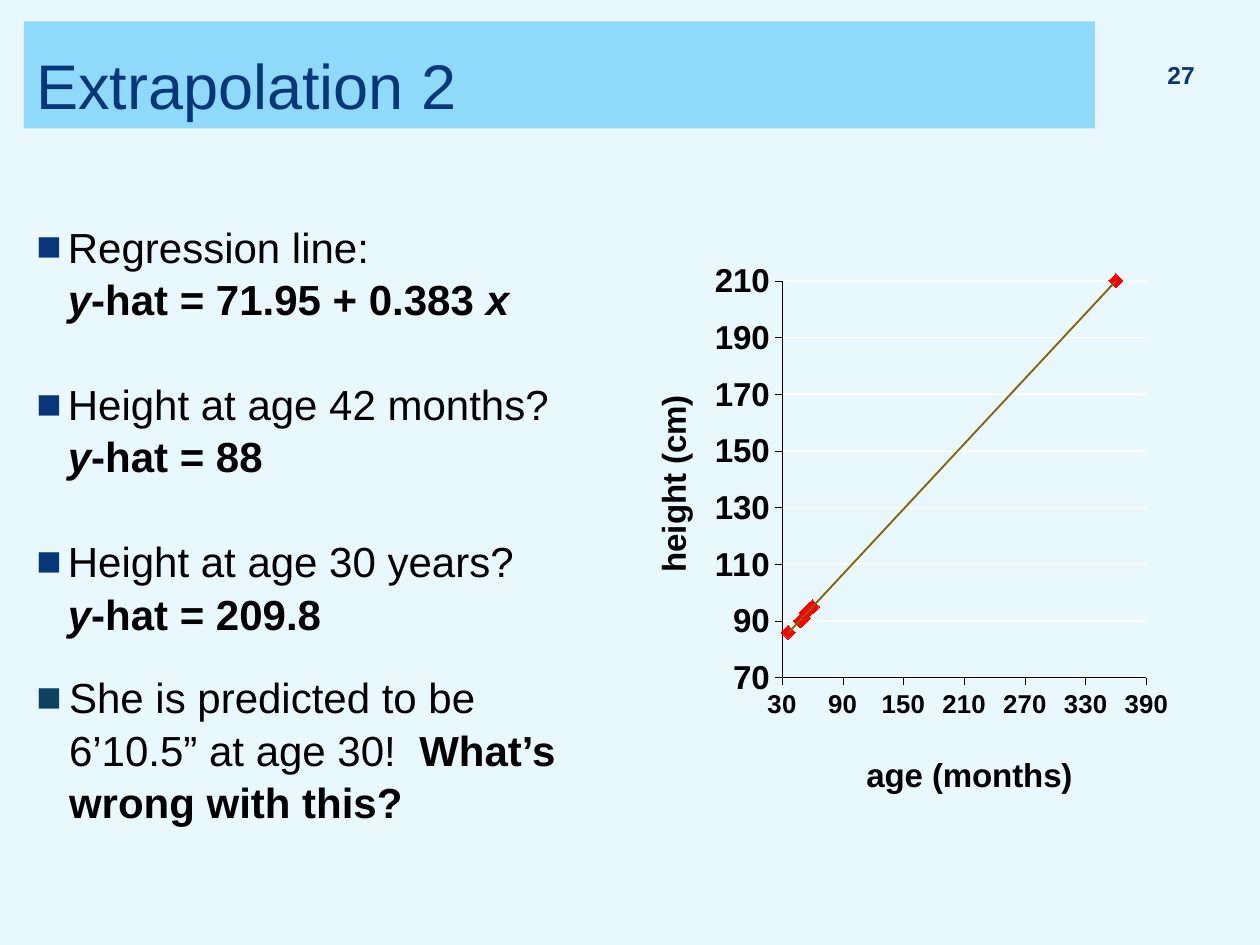
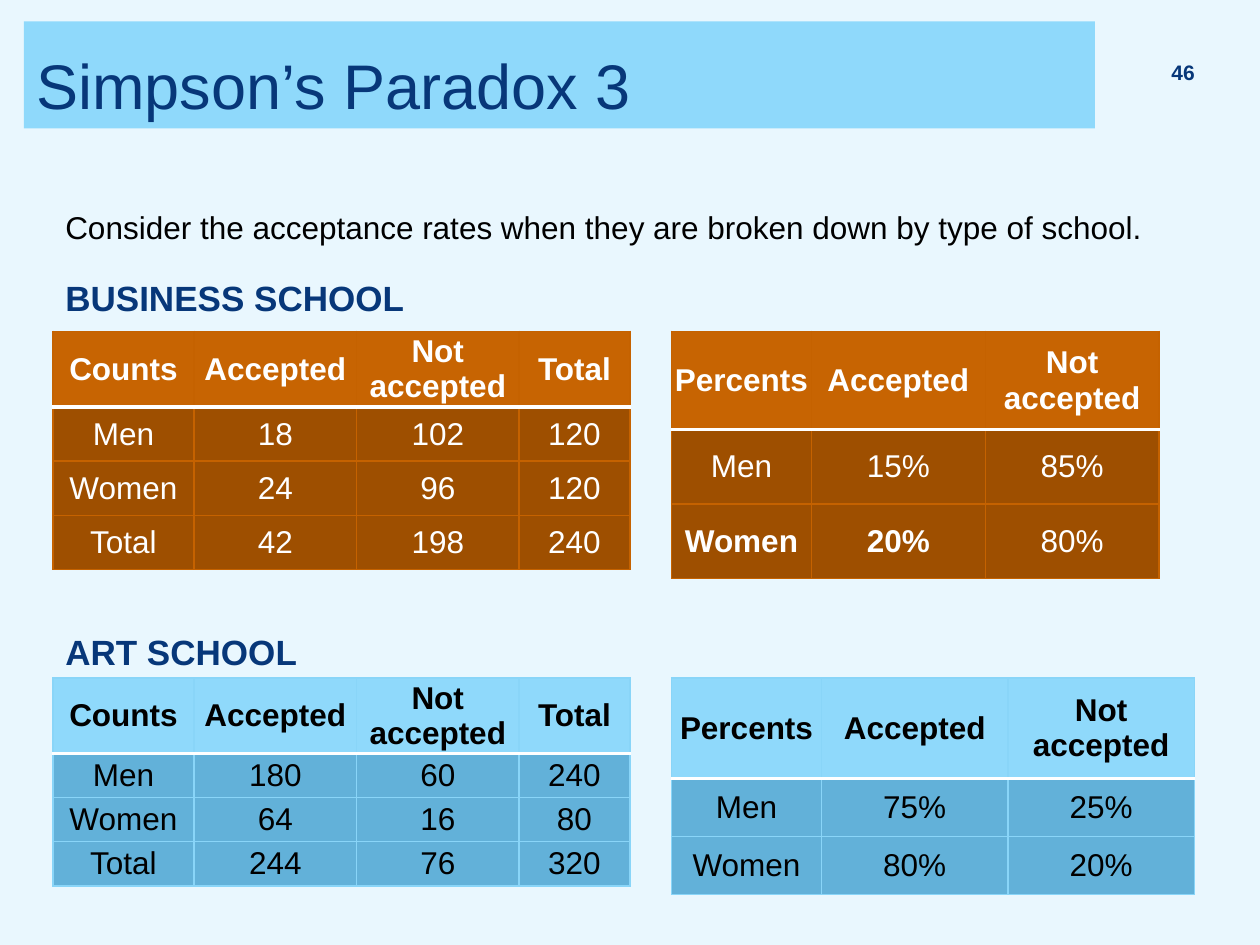
from lxml import etree
from pptx import Presentation
from pptx.chart.data import XyChartData
from pptx.dml.color import RGBColor
from pptx.enum.chart import XL_CHART_TYPE as ChartType, XL_MARKER_STYLE as Marker
from pptx.enum.chart import XL_TICK_MARK as TickMark
from pptx.enum.shapes import MSO_SHAPE as Shape
from pptx.enum.text import MSO_ANCHOR as Anchor, PP_ALIGN as Align
from pptx.oxml import parse_xml
from pptx.oxml.ns import nsdecls, qn
from pptx.util import Inches, Pt

FONT = "Arial"
COLORS = {
    "background": "E9F7FE", "band": "8FD9FB", "navy": "073779", "teal": "0C4160",
    "black": "000000", "white": "FFFFFF", "red": "FF0000", "trend": "806600",
}
# Table themes: header fill, body fill, border, text
ORANGE = ("C76402", "9E4F00", "C56200", "FFFFFF")
BLUE = ("8FD9FB", "62B1D9", "89D5F8", "000000")


def rgb(name):
    return RGBColor.from_string(COLORS.get(name, name))


def set_font(font, size, color="black", bold=False, italic=False):
    font.name, font.size = FONT, Pt(size)
    font.bold, font.italic = bold, italic
    font.color.rgb = rgb(color)


def set_layout(parent, index, inner=False, **fractions):
    """Place a chart part by fractions of the chart area."""
    for old in parent.findall(qn("c:layout")):
        parent.remove(old)
    target = '<c:layoutTarget val="inner"/>' if inner else ""
    modes = '<c:xMode val="edge"/><c:yMode val="edge"/>'
    values = "".join(f'<c:{key} val="{val}"/>' for key, val in fractions.items())
    parent.insert(index, parse_xml(
        f'<c:layout {nsdecls("c")}><c:manualLayout>{target}{modes}{values}'
        "</c:manualLayout></c:layout>"))


def set_borders(cell, top, bottom, side):
    """Give a cell its four borders as (color, points) pairs."""
    edges = (("L", side), ("R", side), ("T", top), ("B", bottom))
    for index, (edge, (color, points)) in enumerate(edges):
        cell._tc.get_or_add_tcPr().insert(index, parse_xml(
            f'<a:ln{edge} {nsdecls("a")} w="{Pt(points)}"><a:solidFill>'
            f'<a:srgbClr val="{color}"/></a:solidFill></a:ln{edge}>'))


class Deck:
    def __init__(self):
        self.deck = Presentation()
        self.deck.slide_width, self.deck.slide_height = Inches(10), Inches(7.5)
        self.page = None

    def add_page(self, title, number, number_size, number_spacing=1.0):
        self.page = self.deck.slides.add_slide(self.deck.slide_layouts[6])
        fill = self.page.background.fill
        fill.solid()
        fill.fore_color.rgb = rgb("background")
        # Title band
        band = self.page.shapes.add_shape(
            Shape.RECTANGLE, Inches(0.19), Inches(0.17), Inches(8.5), Inches(0.85))
        band.shadow.inherit = False
        band.fill.solid()
        band.fill.fore_color.rgb = rgb("band")
        band.line.fill.background()
        frame = band.text_frame
        frame.text = title
        frame.vertical_anchor = Anchor.BOTTOM
        frame.paragraphs[0].alignment = Align.LEFT
        set_font(frame.paragraphs[0].runs[0].font, 36, "navy")
        # Page number
        para = self.text(number, 9.03, 0.39, 0.55, 0.4, number_size, "navy", True)
        para.alignment = Align.RIGHT
        para.line_spacing = number_spacing

    def box(self, left, top, width, height, anchor=Anchor.TOP):
        frame = self.page.shapes.add_textbox(
            Inches(left), Inches(top), Inches(width), Inches(height)).text_frame
        frame.word_wrap = True
        frame.vertical_anchor = anchor
        return frame

    def text(self, words, left, top, width, height, size, color="black", bold=False):
        frame = self.box(left, top, width, height, Anchor.MIDDLE)
        frame.text = words
        set_font(frame.paragraphs[0].runs[0].font, size, color, bold)
        return frame.paragraphs[0]

    def bullets(self, items, left, top, width, height):
        """Each item is (bullet color, indent, space before, styled spans)."""
        frame = self.box(left, top, width, height)
        for index, (color, indent, before, spans) in enumerate(items):
            para = frame.add_paragraph() if index else frame.paragraphs[0]
            props = para._p.get_or_add_pPr()
            props.set("marL", str(Inches(indent)))
            props.set("indent", str(-Inches(indent)))
            bullet_color = etree.SubElement(props, qn("a:buClr"))
            etree.SubElement(bullet_color, qn("a:srgbClr"), val=COLORS[color])
            etree.SubElement(props, qn("a:buFont"), typeface=FONT)
            etree.SubElement(props, qn("a:buChar"), char="■")
            para.space_before = Pt(before if index else 0)
            para.space_after = Pt(12)
            para.line_spacing = 1.04
            for words, style in spans:
                for part, line in enumerate(words.split("\n")):
                    if part:
                        para.add_line_break()
                    if line:
                        span = para.add_run()
                        span.text = line
                        set_font(span.font, 24, bold="b" in style, italic="i" in style)

    def table(self, rows, left, top, widths, heights, theme, bold_cells=()):
        header_fill, body_fill, border, text_color = theme
        table = self.page.shapes.add_table(
            len(rows), len(widths), Inches(left), Inches(top),
            Inches(sum(widths)), Inches(sum(heights))).table
        table.horz_banding = False
        for column, width in zip(table.columns, widths):
            column.width = Inches(width)
        thin, rule = (border, 1), (COLORS["white"], 2)
        for row, (values, height) in enumerate(zip(rows, heights)):
            table.rows[row].height = Inches(height)
            for col, value in enumerate(values):
                cell = table.cell(row, col)
                cell.margin_left = cell.margin_right = 0
                cell.margin_top = cell.margin_bottom = 0
                cell.vertical_anchor = Anchor.MIDDLE
                cell.fill.solid()
                cell.fill.fore_color.rgb = rgb(body_fill if row else header_fill)
                set_borders(cell, rule if row == 1 else thin, thin if row else rule, thin)
                cell.text_frame.text = value
                para = cell.text_frame.paragraphs[0]
                para.alignment = Align.CENTER
                for span in para.runs:
                    set_font(span.font, 18, text_color,
                             row == 0 or (row, col) in bold_cells)

    def axis(self, axis, title, title_place, size, low, high, step):
        axis.minimum_scale, axis.maximum_scale, axis.major_unit = low, high, step
        axis.major_tick_mark, axis.minor_tick_mark = TickMark.OUTSIDE, TickMark.NONE
        axis.has_major_gridlines = False
        axis.format.line.color.rgb = rgb("black")
        axis.format.line.width = Pt(0.25)
        set_font(axis.tick_labels.font, size, bold=True)
        frame = axis.axis_title.text_frame
        frame.text = title
        set_font(frame.paragraphs[0].runs[0].font, 18.9, bold=True)
        x, y = title_place
        set_layout(axis.axis_title._element, 1, x=x, y=y)

    def scatter(self, name, points, left, top, width, height):
        data = XyChartData()
        series_data = data.add_series(name)
        for x, y in points:
            series_data.add_data_point(x, y)
        chart = self.page.shapes.add_chart(
            ChartType.XY_SCATTER, Inches(left), Inches(top),
            Inches(width), Inches(height), data).chart
        chart.has_legend = chart.has_title = False
        set_font(chart.font, 18.9, bold=True)
        # Markers and trend line
        plot = chart.plots[0]
        plot.vary_by_categories = False
        series = plot.series[0]
        series.format.line.fill.background()
        series.marker.style, series.marker.size = Marker.DIAMOND, 8
        series.marker.format.fill.solid()
        series.marker.format.fill.fore_color.rgb = rgb("red")
        series.marker.format.line.color.rgb = rgb("red")
        series._element.find(qn("c:xVal")).addprevious(parse_xml(
            f'<c:trendline {nsdecls("c", "a")}><c:spPr><a:ln w="{Pt(1.05)}">'
            f'<a:solidFill><a:srgbClr val="{COLORS["trend"]}"/></a:solidFill></a:ln>'
            '</c:spPr><c:trendlineType val="linear"/><c:dispRSqr val="0"/>'
            '<c:dispEq val="0"/></c:trendline>'))
        # Axes and plot area
        self.axis(chart.category_axis, "age (months)", (0.42, 0.87), 14.7, 30, 390, 60)
        self.axis(chart.value_axis, "height (cm)", (0.02, 0.26), 18.9, 70, 210, 20)
        chart.value_axis.has_major_gridlines = True
        grid = chart.value_axis.major_gridlines.format.line
        grid.color.rgb = rgb("white")
        grid.width = Pt(1.05)
        plot_area = chart._chartSpace.find(".//" + qn("c:plotArea"))
        set_layout(plot_area, 0, inner=True, x=0.274, y=0.075, w=0.679, h=0.676)


def extrapolation_page(deck):
    deck.add_page("Extrapolation 2", "27", 14)
    deck.bullets([
        ("navy", 0.25, 18, [("Regression line:\n", ""), ("y", "bi"),
                            ("-hat = 71.95 + 0.383 ", "b"), ("x", "bi")]),
        ("navy", 0.25, 18, [("Height at age 42 months?\n", ""), ("y", "bi"),
                            ("-hat = 88", "b")]),
        ("navy", 0.25, 18, [("Height at age 30 years?\n", ""), ("y", "bi"),
                            ("-hat = 209.8", "b")]),
        ("teal", 0.26, 6, [("She is predicted to be 6’10.5” at age 30!  ", ""),
                           ("What’s wrong with this?", "b")]),
    ], 0.19, 1.69, 4.55, 5.05)
    ages = (36, 48, 51, 54, 57, 60, 360)
    heights = (86, 90, 91, 93, 94, 95, 210)
    deck.scatter("Series 1", zip(ages, heights), 5.04, 1.88, 4.26, 4.66)


def paradox_page(deck):
    deck.add_page("Simpson’s Paradox 3", "46", 12, 0.8)
    deck.text("Consider the acceptance rates when they are broken down by type of school.",
              0.42, 1.6, 9, 0.4, 18)
    deck.text("BUSINESS SCHOOL", 0.42, 2.14, 6.57, 0.44, 20, "navy", True)
    deck.text("ART SCHOOL", 0.42, 4.95, 4.83, 0.44, 20, "navy", True)

    outcomes = ("Accepted", "Not\vaccepted")
    counts_header = ("Counts", *outcomes, "Total")
    percents_header = ("Percents", *outcomes)
    counts_widths = (1.12, 1.29, 1.29, 0.88)
    counts_left, percents_left = 0.42, 5.33
    business_top, art_top = 2.63, 5.38

    # Counts
    deck.table([counts_header, ("Men", "18", "102", "120"),
                ("Women", "24", "96", "120"), ("Total", "42", "198", "240")],
               counts_left, business_top, counts_widths, [0.6] + [0.43] * 3, ORANGE)
    deck.table([counts_header, ("Men", "180", "60", "240"),
                ("Women", "64", "16", "80"), ("Total", "244", "76", "320")],
               counts_left, art_top, counts_widths, [0.6] + [0.35] * 3, BLUE)
    # Percents
    deck.table([percents_header, ("Men", "15%", "85%"), ("Women", "20%", "80%")],
               percents_left, business_top, (1.11, 1.38, 1.38), (0.78, 0.59, 0.59),
               ORANGE, {(2, 0), (2, 1)})
    deck.table([percents_header, ("Men", "75%", "25%"), ("Women", "80%", "20%")],
               percents_left, art_top, (1.19, 1.48, 1.48), (0.8, 0.46, 0.46), BLUE)


def main():
    deck = Deck()
    extrapolation_page(deck)
    paradox_page(deck)
    deck.deck.save("out.pptx")


if __name__ == "__main__":
    main()
